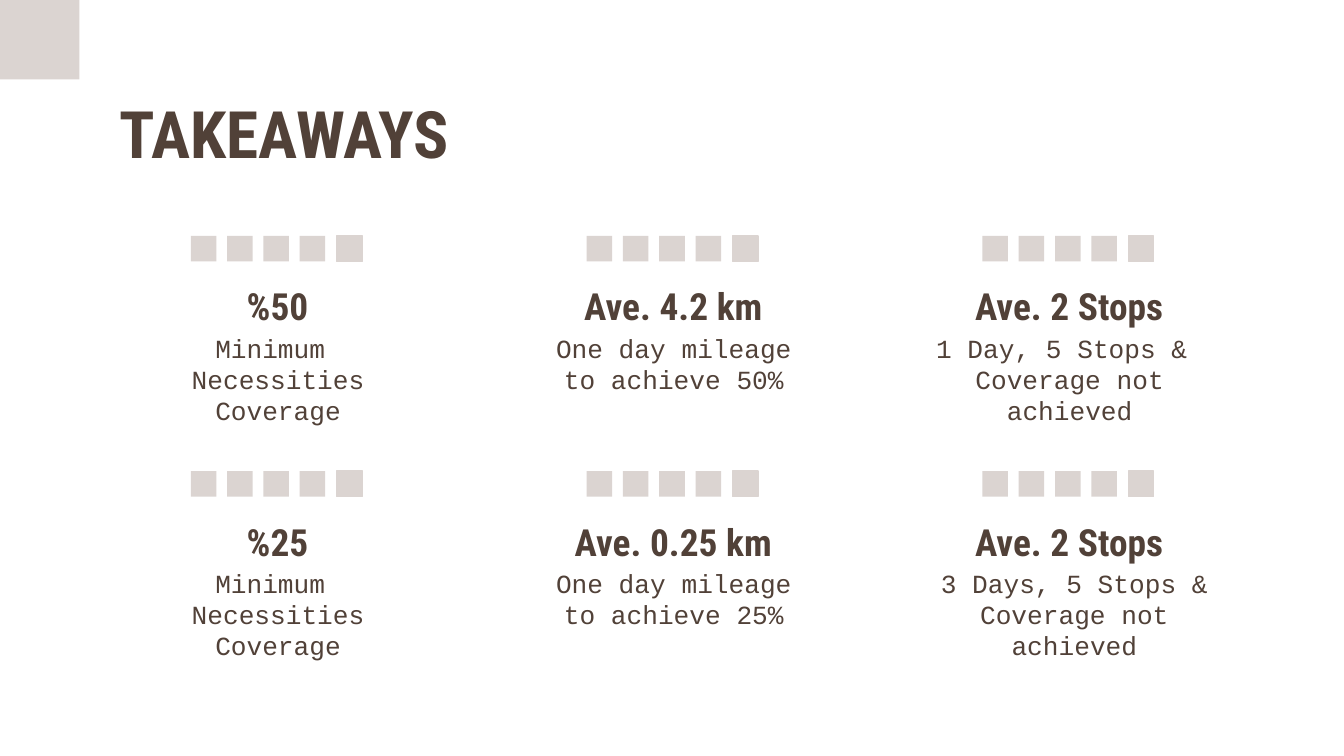
from pptx import Presentation
from pptx.dml.color import RGBColor
from pptx.enum.shapes import MSO_SHAPE as Shape
from pptx.enum.text import MSO_ANCHOR as Anchor, PP_ALIGN as Align
from pptx.util import Emu, Pt

PX = 4572
COLORS = {"ink": "514138", "tint": "DBD4D1", "paper": "FFFFFF"}
HEADING_FONT = "Roboto Condensed"
BODY_FONT = "Courier New"
CARD_WIDTH, CARD_HEIGHT = 460, 255
COLUMN_PITCH, ROW_PITCH = 589, 350

TAKEAWAYS = [
    [
        ("%50", ["Minimum ", "Necessities Coverage"], 0),
        ("Ave. 4.2 km", ["One day mileage", "to achieve 50%"], 0),
        ("Ave. 2 Stops", ["1 Day, 5 Stops & ", "Coverage not achieved"], 0),
    ],
    [
        ("%25", ["Minimum ", "Necessities Coverage"], 0),
        ("Ave. 0.25 km", ["One day mileage", "to achieve 25%"], 0),
        ("Ave. 2 Stops", ["3 Days, 5 Stops & ", "Coverage not achieved"], 7),
    ],
]


def px(*lengths):
    return [Emu(length * PX) for length in lengths]


def color(name):
    return RGBColor.from_string(COLORS[name])


def add_square(slide, left, top, size, outlined=False):
    square = slide.shapes.add_shape(Shape.RECTANGLE, *px(left, top, size, size))
    square.shadow.inherit = False
    square.fill.solid()
    square.fill.fore_color.rgb = color("tint")
    if outlined:
        square.line.color.rgb = color("tint")
        square.line.width = Pt(0.75)
    else:
        square.line.fill.background()


def add_text(slide, box, lines, font, size, bold=False, align=Align.CENTER):
    frame = slide.shapes.add_textbox(*px(*box)).text_frame
    frame.word_wrap = True
    frame.vertical_anchor = Anchor.TOP
    frame.margin_left, frame.margin_top, frame.margin_right, frame.margin_bottom = px(20, 20, 20, 20)
    for index, line in enumerate(lines):
        paragraph = frame.paragraphs[0] if index == 0 else frame.add_paragraph()
        paragraph.alignment = align
        run = paragraph.add_run()
        run.text = line
        run.font.name = font
        run.font.size = Pt(size)
        run.font.bold = bold
        run.font.color.rgb = color("ink")


def add_header(slide, left, top, width, height):
    add_square(slide, left, top, 118)
    title_box = (left + 158, top + 119, width - 158, height - 119)
    add_text(slide, title_box, ["TAKEAWAYS"], HEADING_FONT, 35, bold=True, align=Align.LEFT)


def add_squares_row(slide, left, top, width):
    size, count = 38, 5
    for index in range(count):
        offset = index * (width - size) // (count - 1)
        add_square(slide, left + offset, top, size, outlined=index == count - 1)


def add_takeaway(slide, left, top, width, height, figure, details, nudge):
    add_squares_row(slide, left + 100, top, 255)
    add_text(slide, (left + 54, top + 51, width - 110, 94), [figure], HEADING_FONT, 20, bold=True)
    details_box = (left + nudge, top + 123, width, height - 123)
    add_text(slide, details_box, details, BODY_FONT, 14)


def add_takeaway_grid(slide, left, top):
    for row, cards in enumerate(TAKEAWAYS):
        for column, (figure, details, nudge) in enumerate(cards):
            add_takeaway(
                slide,
                left + column * COLUMN_PITCH,
                top + row * ROW_PITCH,
                CARD_WIDTH,
                CARD_HEIGHT,
                figure,
                details,
                nudge,
            )


def main():
    deck = Presentation()
    deck.slide_width, deck.slide_height = px(2000, 1125)
    slide = deck.slides.add_slide(deck.slide_layouts[6])
    slide.background.fill.solid()
    slide.background.fill.fore_color.rgb = color("paper")
    add_header(slide, 0, 0, 1032, 251)
    add_takeaway_grid(slide, 184, 351)
    deck.save("out.pptx")


if __name__ == "__main__":
    main()
